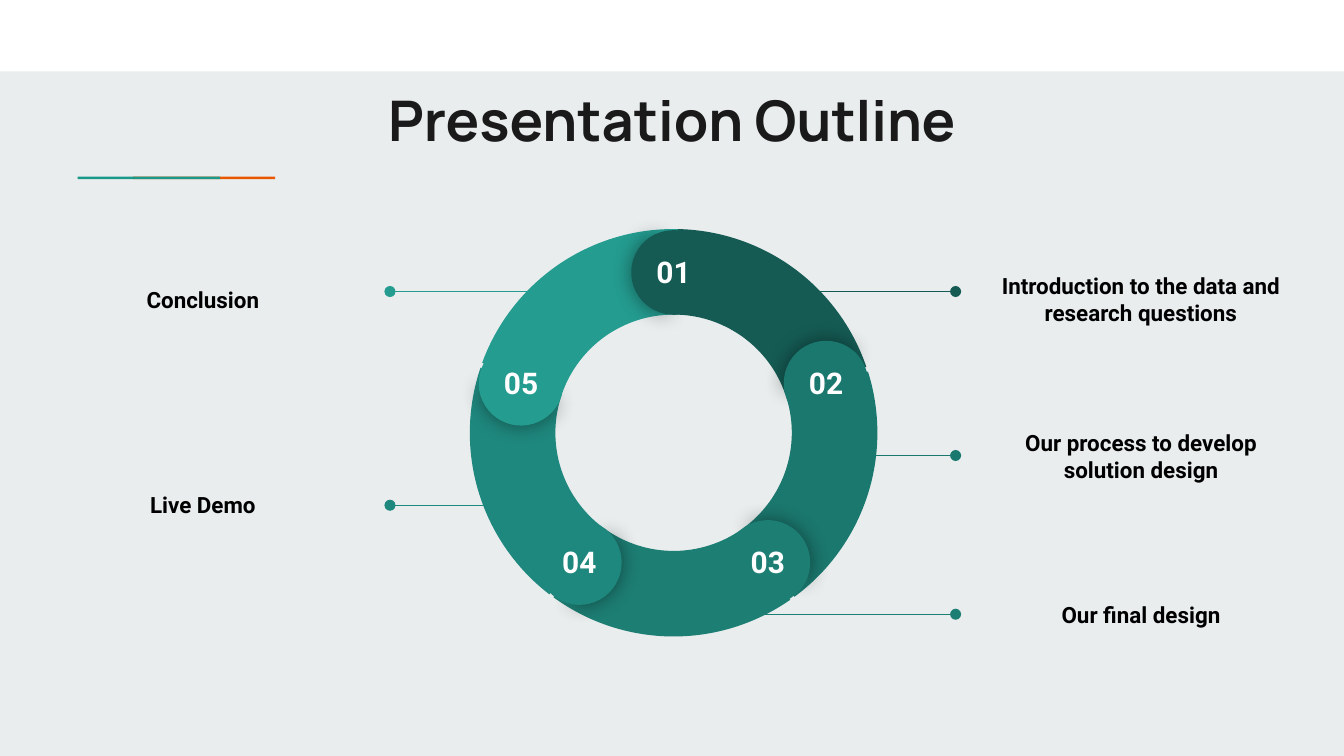
"""Build the presentation outline slide with its five-part ring."""
import math
import pptx
import pptx.util
import pptx.dml.color
import pptx.enum.shapes
import pptx.enum.text
import pptx.oxml

Cm, Pt = pptx.util.Cm, pptx.util.Pt
KIND = pptx.enum.shapes.MSO_SHAPE
ANCHOR = pptx.enum.text.MSO_ANCHOR
NS = 'xmlns:a="http://schemas.openxmlformats.org/drawingml/2006/main"'

TITLE = "Presentation Outline"
COLORS = {
    "back": "E9EDEE", "band": "FFFFFF", "title": "1A1A1A", "label": "000000",
    "orange": "EB5600", "teal": "1A9988",
    "01": "155B54", "02": "1B786E", "03": "1D7E74", "04": "1F887E", "05": "249C90",
}
BARS = [("band", 0, 0, 25.4, 1.35), ("orange", 2.51, 3.34, 2.69, 0.05),
        ("teal", 1.47, 3.34, 2.69, 0.05)]
TOPICS = [
    ("01", "Introduction to the data and research questions", "right", 14.5, 5.51, 4.37),
    ("02", "Our process to develop solution design", "right", 15.6, 8.61, 7.34),
    ("03", "Our final design", "right", 12.95, 11.61, 10.34),
    ("04", "Live Demo", "left", 9.93, 9.55, 8.26),
    ("05", "Conclusion", "left", 10.77, 5.51, 4.37),
]
SIDES = {"left": (7.37, 0.89), "right": (18.06, 18.62)}
STACK = [("arc", 4), ("arc", 2), ("arc", 1), ("cap", 2), ("arc", 3), ("cap", 4),
         ("arc", 5), ("cap", 1), ("cap", 3), ("cap", 5)]
MID_X, MID_Y, RING, ORBIT, CAP = 12.73, 8.18, 7.7, 3.03, 1.6


def tint(name):
    return pptx.dml.color.RGBColor.from_string(COLORS[name])


def add_form(slide, kind, color, x, y, w, h, turn=0, adjust=()):
    form = slide.shapes.add_shape(kind, Cm(x), Cm(y), Cm(w), Cm(h))
    form.shadow.inherit = False
    form.fill.solid()
    form.fill.fore_color.rgb = tint(color)
    form.line.fill.background()
    form.rotation = turn % 360
    for spot, value in enumerate(adjust):
        form.adjustments[spot] = value
    return form


def add_text(slide, text, x, y, w, h, size, color, face="Roboto", anchor=ANCHOR.TOP, after=0):
    box = slide.shapes.add_textbox(Cm(x), Cm(y), Cm(w), Cm(h))
    frame = box.text_frame
    frame.word_wrap = True
    frame.vertical_anchor = anchor
    frame.margin_left = frame.margin_right = Cm(0.25)
    frame.margin_top = frame.margin_bottom = Cm(0.25)
    para = frame.paragraphs[0]
    para.alignment = pptx.enum.text.PP_ALIGN.CENTER
    para.space_after = Pt(after)
    run = para.add_run()
    run.text = text
    run.font.size = Pt(size)
    run.font.name = face
    run.font.bold = True
    run.font.color.rgb = tint(color)


def add_lead(slide, color, start, end, y):
    lead = slide.shapes.add_connector(
        pptx.enum.shapes.MSO_CONNECTOR.STRAIGHT, Cm(start), Cm(y), Cm(end), Cm(y))
    lead.line.color.rgb = tint(color)
    lead.line.width = Pt(0.75)
    lead.line._get_or_add_ln().append(pptx.oxml.parse_xml(f'<a:tailEnd {NS} type="oval"/>'))
    lead._element.spPr.append(pptx.oxml.parse_xml(f"<a:effectLst {NS}/>"))


def cap_spot(num):
    angle = math.radians(72 * (num - 1) - 90)
    return MID_X + ORBIT * math.cos(angle), MID_Y + ORBIT * math.sin(angle)


def add_arc(slide, num):
    add_form(slide, KIND.BLOCK_ARC, f"0{num}", MID_X - RING / 2, MID_Y - RING / 2,
             RING, RING, 60 + 72.5 * (num - 1), (126.03, 168.68, 0.21))


def add_cap(slide, num):
    x, y = cap_spot(num)
    place = (x - CAP / 2, y - CAP / 2, CAP, CAP)
    turn = 72 * (num - 1)
    front = add_form(slide, KIND.PIE, f"0{num}", *place, turn - 4.9, (61.9, 149.96))
    glow = pptx.oxml.parse_xml(
        f'<a:outerShdw {NS} blurRad="{Pt(11.2)}" dist="0" dir="0" algn="ctr" rotWithShape="0">'
        '<a:srgbClr val="000000"><a:alpha val="43000"/></a:srgbClr></a:outerShdw>')
    front._element.spPr.find(pptx.oxml.ns.qn("a:effectLst")).append(glow)
    add_form(slide, KIND.PIE, f"0{num}", *place, turn + 174.4, (40.28, 171.84))


def main():
    deck = pptx.Presentation()
    deck.slide_width, deck.slide_height = Cm(25.4), Cm(14.29)
    slide = deck.slides.add_slide(deck.slide_layouts[6])
    slide.background.fill.solid()
    slide.background.fill.fore_color.rgb = tint("back")
    for color, *place in BARS:
        add_form(slide, KIND.RECTANGLE, color, *place)
    for num, text, side, start, y, top in TOPICS:
        end, left = SIDES[side]
        add_lead(slide, num, start, end, y)
        add_text(slide, text, left, top, 5.89, 2.57, 12, "label",
                 anchor=ANCHOR.MIDDLE, after=16)
    for part, num in STACK:
        (add_arc if part == "arc" else add_cap)(slide, num)
    for num in range(1, 6):
        x, y = cap_spot(num)
        add_text(slide, f"0{num}", x - 0.71, y - 0.6, 1.42, 0.74, 16, "band")
    add_text(slide, TITLE, 5.13, 1.37, 15.14, 2.18, 30, "title", face="Manrope")
    deck.save("out.pptx")


if __name__ == "__main__":
    main()
